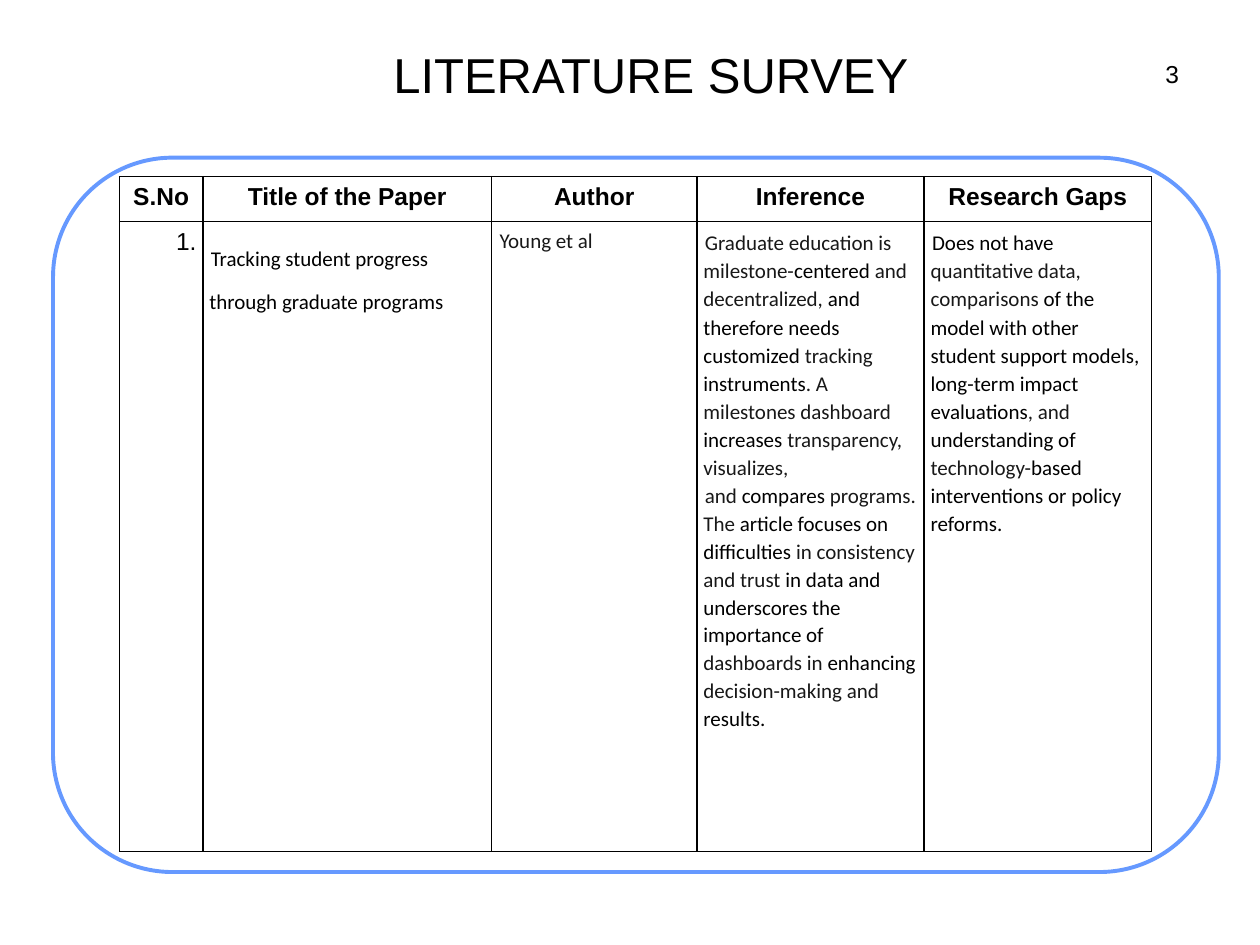
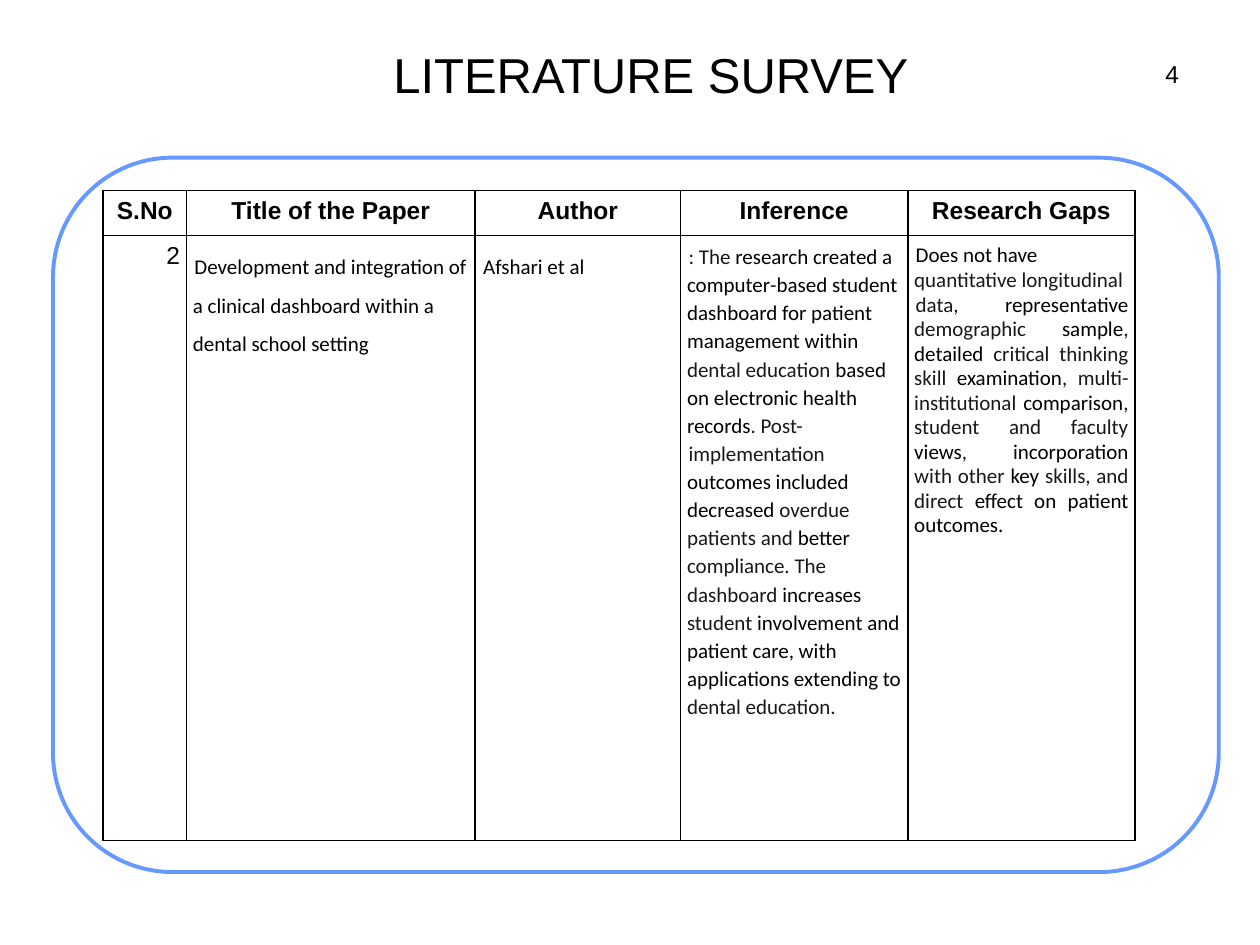
"""Build two literature survey slides, each with a framed table of one paper."""
import pptx
import pptx.dml.color
import pptx.enum.shapes
import pptx.enum.text
import pptx.oxml
import pptx.oxml.ns
import pptx.util

Cm = pptx.util.Cm
Pt = pptx.util.Pt
ALIGN = pptx.enum.text.PP_ALIGN
ANCHOR = pptx.enum.text.MSO_ANCHOR

BLACK = pptx.dml.color.RGBColor(0x00, 0x00, 0x00)
GREY = pptx.dml.color.RGBColor(0x18, 0x18, 0x18)
WHITE = pptx.dml.color.RGBColor(0xFF, 0xFF, 0xFF)
BLUE = pptx.dml.color.RGBColor(0x66, 0x99, 0xFF)

INSET = Cm(0.13)
MARGINS = dict.fromkeys(("margin_left", "margin_right", "margin_top", "margin_bottom"), INSET)
TITLE_FONT = {"name": "Arial", "size": Pt(28), "bold": False}
NUMBER_FONT = {"name": "Arial", "size": Pt(14), "bold": False}
HEADER_FONT = {"name": "Arial", "size": Pt(14), "bold": True}
BODY_FONT = {"name": "Calibri", "size": Pt(12), "bold": False}

TITLE = "LITERATURE SURVEY"
HEADERS = ("S.No", "Title of the Paper", "Author", "Inference", "Research Gaps")
COLUMN_WIDTHS = (1.68, 5.82, 4.14, 4.58, 4.58)
HEADER_HEIGHT = 0.91
COLOR_SWITCH = "|"

PAPERS = (
    {
        "page": "3",
        "left": 2.41,
        "top": 3.56,
        "height": 12.7,
        "number": "1.",
        "cells": (
            (("Tracking student progress through graduate programs", {"line_spacing": 1.7}),),
            (("|Young et al", {}),),
            (
                ("|Graduate education is milestone-|centered |and decentralized, |"
                 "and therefore needs customized |tracking |instruments|"
                 ". A milestones dashboard |increases |transparency, visualizes,",
                 {"line_spacing": 1.1}),
                ("|and |compares |programs. The |article focuses on difficulties |"
                 "in consistency and trust |in data and underscores the importance of |"
                 "dashboards in |enhancing |decision-making and |results.",
                 {"line_spacing": 1.09}),
            ),
            (
                ("Does not have |quantitative data, comparisons |"
                 "of the model with other student support models, "
                 "long-term impact evaluations|, and |understanding of |technology-|"
                 "based interventions or policy reforms.",
                 {"line_spacing": 1.1}),
            ),
        ),
    },
    {
        "page": "4",
        "left": 2.08,
        "top": 3.84,
        "height": 12.19,
        "number": "2",
        "cells": (
            (("Development and integration of a clinical dashboard "
              "within a dental school setting", {"line_spacing": Pt(22)}),),
            (("Afshari et al", {"line_spacing": Pt(22)}),),
            (
                ("|: The |research created a computer|-|"
                 "based student dashboard for patient management within |"
                 "dental education |based on electronic health records|. Post-",
                 {"line_spacing": 1.1}),
                ("|implementation |outcomes included decreased |overdue patients and |"
                 "better |compliance. The dashboard |increases |student |"
                 "involvement and patient care, with applications extending to |"
                 "dental education.",
                 {"line_spacing": 1.1}),
            ),
            (
                ("Does not have |quantitative longitudinal", {}),
                ("|data, |representative |demographic |sample|, |detailed |"
                 "critical thinking skill |examination|, multi- institutional |"
                 "comparison|, student and faculty |views|, |incorporation |"
                 "with other |key |skills, and direct |effect on patient outcomes.",
                 {"line_spacing": Pt(14), "alignment": ALIGN.JUSTIFY}),
            ),
        ),
    },
)


def set_values(target, values):
    """Set every attribute of the target from a dict of format values."""
    for name, value in values.items():
        setattr(target, name, value)


class SurveyDeck:
    """Hold the survey style and the slide that is being filled."""

    def __init__(self):
        """Start a presentation of 25.4 by 19.05 centimetres."""
        self.presentation = pptx.Presentation()
        set_values(self.presentation, {"slide_width": Cm(25.4), "slide_height": Cm(19.05)})
        self.slide = None

    def add_slide(self):
        """Add a title-only slide and make it the current one."""
        layout = self.presentation.slide_layouts.get_by_name("Title Only")
        self.slide = self.presentation.slides.add_slide(layout)

    def add_text(self, paragraph, text, font, layout):
        """Fill a paragraph with runs that alternate between black and grey."""
        set_values(paragraph, layout)
        for index, part in enumerate(text.split(COLOR_SWITCH)):
            if part:
                run = paragraph.add_run()
                run.text = part
                set_values(run.font, font)
                run.font.color.rgb = GREY if index % 2 else BLACK

    def add_panel(self):
        """Draw the rounded frame around the table."""
        panel = self.slide.shapes.add_shape(
            pptx.enum.shapes.MSO_SHAPE.ROUNDED_RECTANGLE,
            Cm(1.07), Cm(3.18), Cm(23.5), Cm(14.4))
        panel.adjustments[0] = 0.167
        panel.shadow.inherit = False
        self.paint(panel, BLUE, Pt(2.25))

    def paint(self, shape, line_color, line_width):
        """Give a shape a white fill and a line."""
        shape.fill.solid()
        shape.fill.fore_color.rgb = WHITE
        shape.line.color.rgb = line_color
        shape.line.width = line_width

    def add_title(self, text):
        """Place and format the slide title."""
        title = self.slide.shapes.title
        set_values(title, {"left": Cm(3.61), "top": Cm(0.81),
                           "width": Cm(19.02), "height": Cm(1.35)})
        self.paint(title, WHITE, Pt(0.75))
        set_values(title.text_frame, {**MARGINS, "vertical_anchor": ANCHOR.MIDDLE,
                                      "auto_size": pptx.enum.text.MSO_AUTO_SIZE.NONE})
        self.add_text(title.text_frame.paragraphs[0], text, TITLE_FONT,
                      {"alignment": ALIGN.CENTER})

    def add_page_number(self, text):
        """Put the page number in the upper right corner."""
        box = self.slide.shapes.add_textbox(Cm(23.34), Cm(1.07), Cm(0.56), Cm(0.81))
        set_values(box.text_frame, {**MARGINS, "word_wrap": False})
        self.add_text(box.text_frame.paragraphs[0], text, NUMBER_FONT,
                      {"alignment": ALIGN.RIGHT})

    def add_borders(self, cell):
        """Draw black one-point lines on the four sides of a cell."""
        properties = cell._tc.get_or_add_tcPr()
        for side in ("lnL", "lnR", "lnT", "lnB"):
            properties.append(pptx.oxml.parse_xml(
                f'<a:{side} {pptx.oxml.ns.nsdecls("a")} w="{Pt(1)}">'
                f'<a:solidFill><a:srgbClr val="{BLACK}"/></a:solidFill></a:{side}>'))

    def fill_cell(self, cell, paragraphs, font, layout, indent=0):
        """Put paragraphs into a cell and give it borders and no fill."""
        set_values(cell, MARGINS)
        for index, (text, spacing) in enumerate(paragraphs):
            frame = cell.text_frame
            paragraph = frame.add_paragraph() if index else frame.paragraphs[0]
            paragraph._p.get_or_add_pPr().set("indent", str(indent))
            self.add_text(paragraph, text, font, {**layout, **spacing})
        self.add_borders(cell)
        cell.fill.background()

    def add_paper_table(self, paper):
        """Add the table with its header row and one paper."""
        table = self.slide.shapes.add_table(
            2, len(HEADERS), Cm(paper["left"]), Cm(paper["top"]),
            Cm(sum(COLUMN_WIDTHS)), Cm(HEADER_HEIGHT + paper["height"])).table
        set_values(table, {"first_row": False, "horz_banding": False})
        for column, width in zip(table.columns, COLUMN_WIDTHS):
            column.width = Cm(width)
        for row, height in zip(table.rows, (HEADER_HEIGHT, paper["height"])):
            row.height = Cm(height)
        for index, header in enumerate(HEADERS):
            self.fill_cell(table.cell(0, index), ((header, {}),), HEADER_FONT,
                           {"alignment": ALIGN.CENTER})
        self.fill_cell(table.cell(1, 0), ((paper["number"], {}),), NUMBER_FONT,
                       {"alignment": ALIGN.RIGHT})
        for index, paragraphs in enumerate(paper["cells"], start=1):
            self.fill_cell(table.cell(1, index), paragraphs, BODY_FONT,
                           {"alignment": ALIGN.LEFT}, Cm(0.03))


def main():
    """Build one slide for each paper and save the presentation."""
    deck = SurveyDeck()
    for paper in PAPERS:
        deck.add_slide()
        deck.add_panel()
        deck.add_title(TITLE)
        deck.add_page_number(paper["page"])
        deck.add_paper_table(paper)
    deck.presentation.save("out.pptx")


if __name__ == "__main__":
    main()
